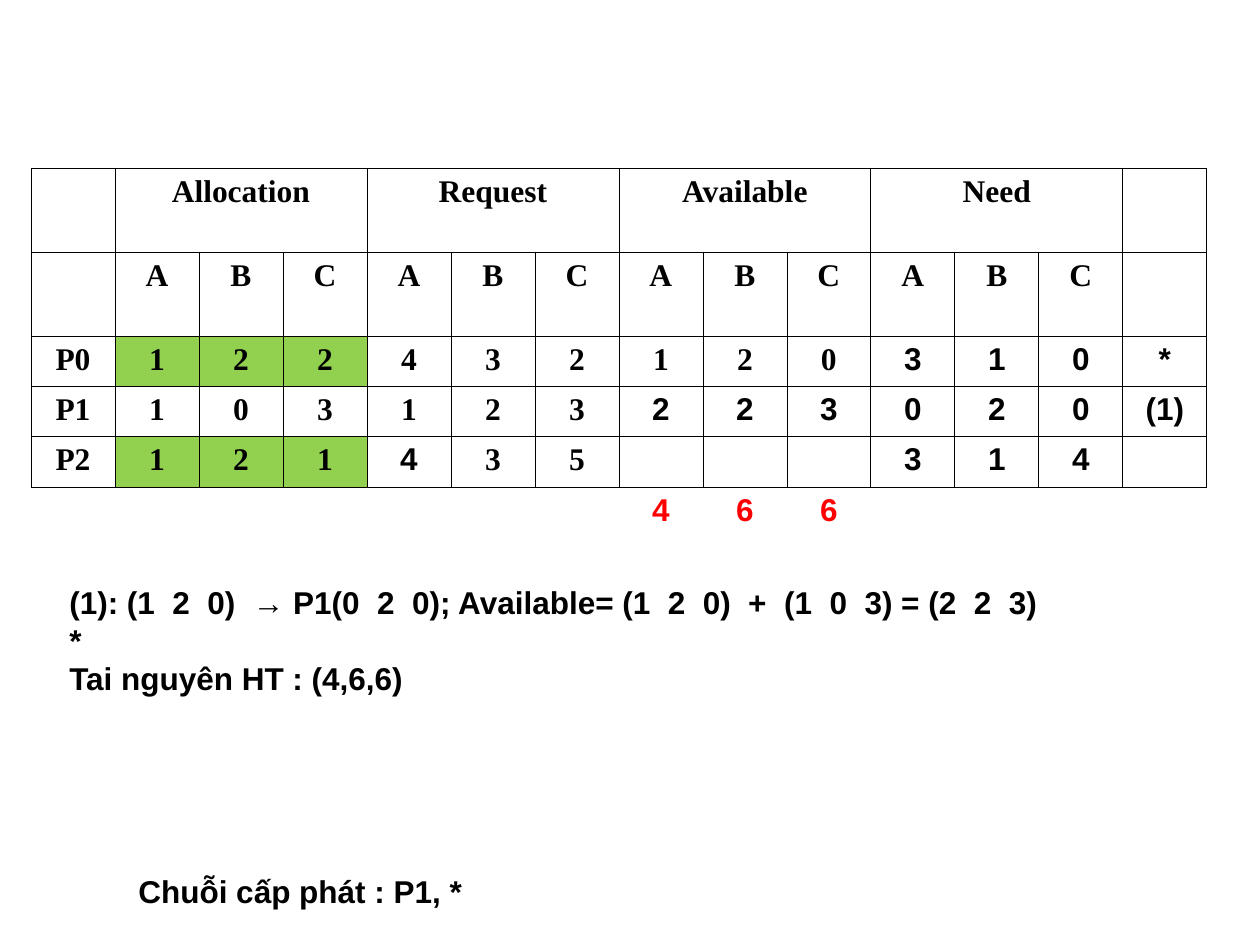
from lxml.etree import SubElement
from pptx import Presentation
from pptx.dml.color import RGBColor
from pptx.enum.text import MSO_AUTO_SIZE as Fit, PP_ALIGN as Align
from pptx.oxml.ns import qn
from pptx.util import Pt

# Content
HEADS = ["Allocation", "Request", "Available", "Need"]
ROWS = [
    ["P0", *"122", *"432", *"120", *"310", "*"],
    ["P1", *"103", *"123", *"223", *"020", "(1)"],
    ["P2", *"121", *"435", "", "", "", *"314", ""],
]
TOTAL = [""] * 7 + [*"466"] + [""] * 4
NOTES = [
    ((126, 866, 358, 50), ["Chuỗi cấp phát : P1, *"]),
    ((57, 577, 995, 126), [
        "(1): (1  2  0)  → P1(0  2  0); Available= (1  2  0)  +  (1  0  3) = (2  2  3)",
        "*",
        "Tai nguyên HT : (4,6,6)",
    ]),
]

# Look
PX = 914400 // 126
BLACK = RGBColor(0, 0, 0)
RED = RGBColor(255, 0, 0)
GREEN = RGBColor(0x92, 0xD0, 0x50)
SERIF, SANS = "Times New Roman", "Arial"
LEFT, TOP, COL = 31, 168, 84
HIGH = [84, 84, 50, 50, 50, 50]
LINE = Pt(0.45)
LAST = len(HIGH) - 1
SOLVED = {(3, 7), (3, 8), (3, 9), (4, 4)}  # worked-out values, set in sans


def px(*nums):
    return [n * PX for n in nums]


def write(para, text, face, color=BLACK, align=Align.LEFT):
    para.alignment = align
    run = para.add_run()
    run.text = text
    look = {"name": face, "size": Pt(18), "bold": True}
    for key, val in look.items():
        setattr(run.font, key, val)
    run.font.color.rgb = color


def border(cell, sides):
    props = cell._tc.get_or_add_tcPr()
    for side in "LRTB":
        line = SubElement(props, qn(f"a:ln{side}"), w=str(int(LINE)))
        if side in sides:
            fill = SubElement(line, qn("a:solidFill"))
            SubElement(fill, qn("a:srgbClr"), val=str(BLACK))
        else:
            SubElement(line, qn("a:noFill"))


prs = Presentation()
prs.slide_width, prs.slide_height = px(1260, 945)
slide = prs.slides.add_slide(prs.slide_layouts[6])

# Table grid
top = [""] + [t for head in HEADS for t in (head, "", "")] + [""]
grid = [top, ["", *"ABC" * len(HEADS), ""], *ROWS, TOTAL]
wide = len(top)
frame = slide.shapes.add_table(len(grid), wide, *px(LEFT, TOP, COL * wide, sum(HIGH)))
table = frame.table
table.first_row = table.horz_banding = False
for col in table.columns:
    col.width = COL * PX
for row, high in zip(table.rows, HIGH):
    row.height = high * PX

# Cells
for r, line in enumerate(grid):
    for c, text in enumerate(line):
        cell = table.cell(r, c)
        border(cell, "T" if r == LAST else "LRTB")
        if r in (2, 4) and 1 <= c <= 3:
            cell.fill.solid()
            cell.fill.fore_color.rgb = GREEN
        else:
            cell.fill.background()
        if text:
            sans = r == LAST or (r > 1 and c > 9) or (r, c) in SOLVED
            write(cell.text_frame.paragraphs[0], text, SANS if sans else SERIF,
                  RED if r == LAST else BLACK, Align.CENTER)
for c in range(1, wide - 1, 3):
    table.cell(0, c).merge(table.cell(0, c + 2))

# Notes
for box, lines in NOTES:
    body = slide.shapes.add_textbox(*px(*box)).text_frame
    body.word_wrap = False
    body.auto_size = Fit.SHAPE_TO_FIT_TEXT
    for i, text in enumerate(lines):
        write(body.add_paragraph() if i else body.paragraphs[0], text, SANS)

prs.save("out.pptx")
